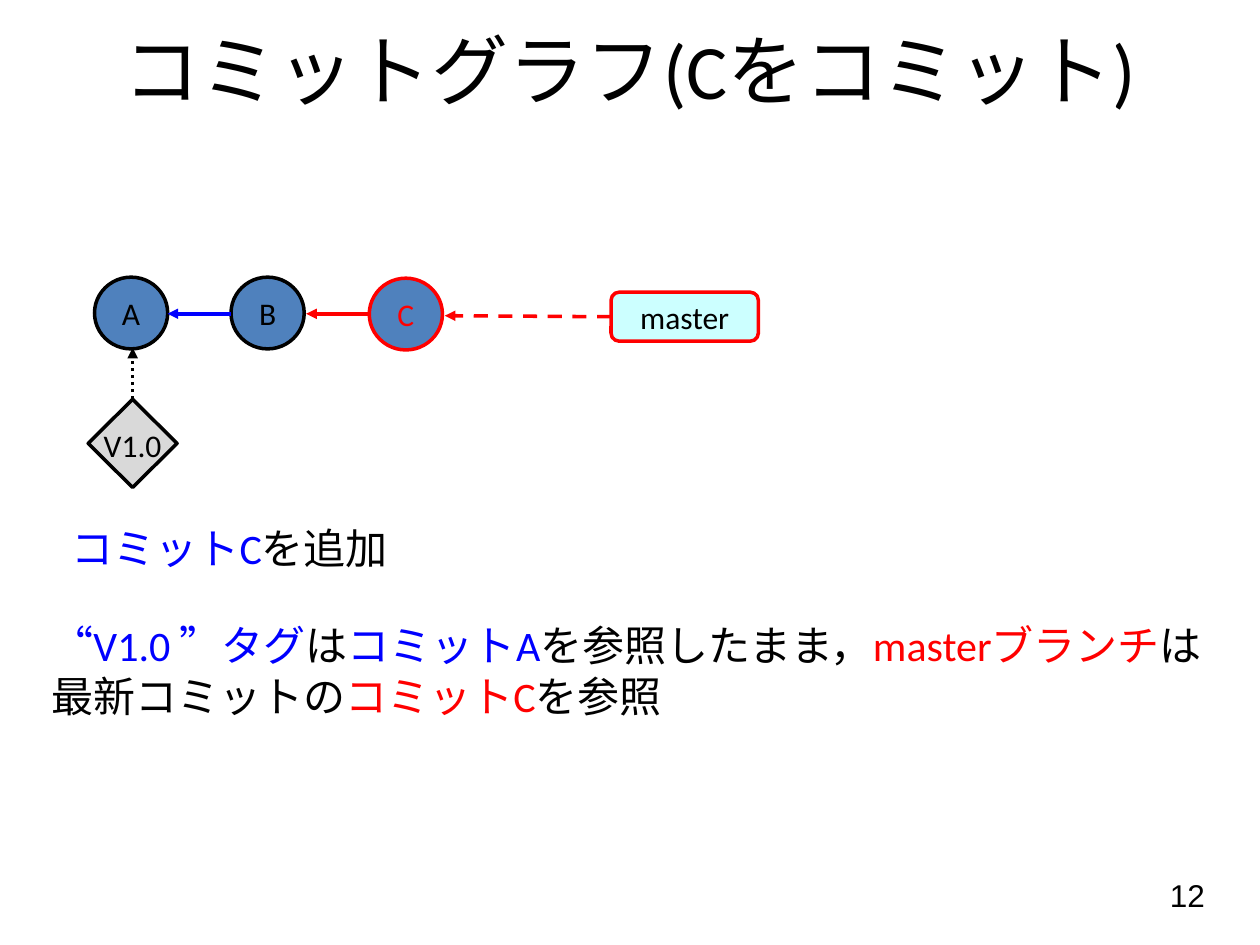
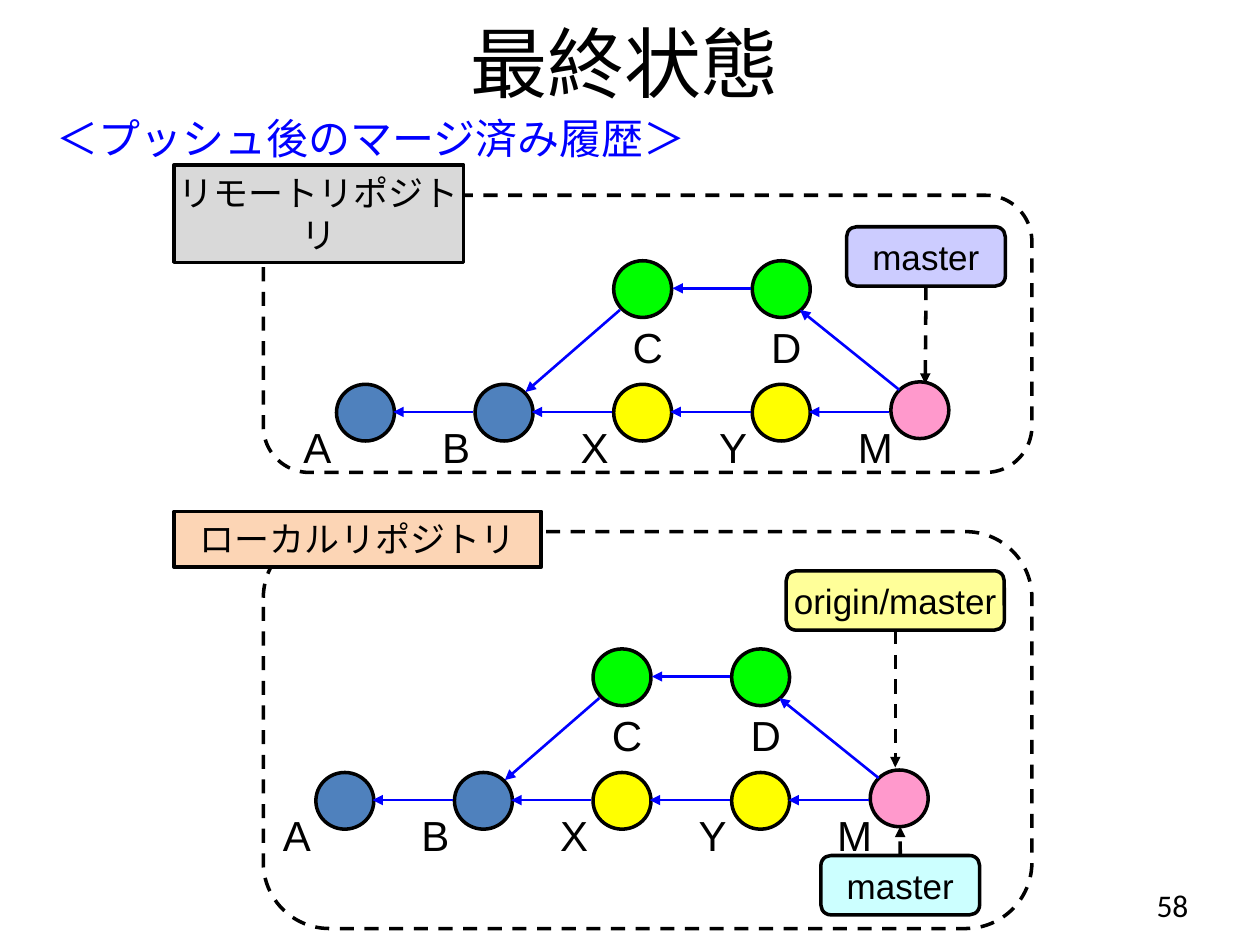
import pptx
import pptx.dml.color
import pptx.enum.dml
import pptx.enum.shapes
import pptx.enum.text
import pptx.oxml
import pptx.oxml.ns
import pptx.util

Pt = pptx.util.Pt
Kind = pptx.enum.shapes.MSO_SHAPE
Dash = pptx.enum.dml.MSO_LINE
Align = pptx.enum.text.PP_ALIGN
Anchor = pptx.enum.text.MSO_ANCHOR

BLACK, BLUE, RED = "000000", "0000FF", "FF0000"
STEEL, GREEN, YELLOW, PINK = "4F81BD", "00FF00", "FFFF00", "FF99CC"
GRAY, PEACH, CYAN, LILAC, CREAM = "D9D9D9", "FCD5B5", "CCFFFF", "CCCCFF", "FFFF99"

STEP = 79.2   # distance between neighbouring commits
RISE = 70.6   # height of the branch above the main row
TOP, LEFT, BOTTOM = 0, 1, 2

# name: (column, row, colour)
NODES = {
    "A": (0, 0, STEEL), "B": (1, 0, STEEL),
    "X": (2, 0, YELLOW), "Y": (3, 0, YELLOW),
    "C": (2, 1, GREEN), "D": (3, 1, GREEN),
    "M": (4, 0, PINK),
}


def tint(code):
    return pptx.dml.color.RGBColor.from_string(code)


def apply(item, values):
    for name, value in values.items():
        setattr(item, name, value)


def write(shape, paras, size, font="Calibri", align=Align.LEFT,
          anchor=Anchor.TOP, inset=(7.2, 3.6), wrap=True):
    """Fill a shape with paragraphs, each a list of (text, colour) runs."""
    frame = shape.text_frame
    side, edge = map(Pt, inset)
    apply(frame, {"margin_left": side, "margin_right": side,
                  "margin_top": edge, "margin_bottom": edge,
                  "vertical_anchor": anchor, "word_wrap": wrap})
    for i, runs in enumerate(paras):
        para = frame.add_paragraph() if i else frame.paragraphs[0]
        para.alignment = align
        for text, color in runs:
            run = para.add_run()
            run.text = text
            apply(run.font, {"size": Pt(size), "name": font})
            run.font.color.rgb = tint(color)


def text(slide, box, paras, size, **style):
    shape = slide.shapes.add_textbox(*map(Pt, box))
    if isinstance(paras, str):
        paras = [[(paras, BLACK)]]
    write(shape, paras, size, **style)
    return shape


def stroke(line, color, width, dash=None):
    line.color.rgb = tint(color)
    apply(line, {"width": Pt(width), "dash_style": dash})


def block(slide, kind, box, fill=None, edge=BLACK, dash=None):
    shape = slide.shapes.add_shape(kind, *map(Pt, box))
    shape.shadow.inherit = False
    if fill:
        shape.fill.solid()
        shape.fill.fore_color.rgb = tint(fill)
    else:
        shape.fill.background()
    stroke(shape.line, edge, 2, dash)
    return shape


def arrow(slide, start, end, color=BLUE, width=1.5, dash=None):
    """Draw a straight line with its arrowhead at the end point."""
    line = slide.shapes.add_connector(
        pptx.enum.shapes.MSO_CONNECTOR.STRAIGHT, *map(Pt, start + end))
    stroke(line.line, color, width, dash)
    head = pptx.oxml.parse_xml(
        f'<a:tailEnd {pptx.oxml.ns.nsdecls("a")} type="triangle"/>')
    line.line._get_or_add_ln().append(head)
    props = line._element.spPr
    props.append(props.makeelement(pptx.oxml.ns.qn("a:effectLst"), {}))
    return line


def point(slide, shape, site, end, color=BLACK, dash=Dash.DASH):
    """Draw a reference arrow from a side of a shape to a commit."""
    line = arrow(slide, end, end, color, 2, dash)
    line.begin_connect(shape, site)


def title(slide, box, words):
    text(slide, box, words, 44, align=Align.CENTER, anchor=Anchor.MIDDLE)


def commit(slide, name, left, top, color=BLACK):
    node = block(slide, Kind.OVAL, (left, top, 41.8, 41), STEEL, color)
    write(node, [[(name, color)]], 18, align=Align.CENTER, wrap=False)


def branch(slide, box, name, fill, edge=BLACK, size=20, font="Arial"):
    shape = block(slide, Kind.ROUNDED_RECTANGLE, box, fill, edge)
    write(shape, [[(name, BLACK)]], size, font=font, align=Align.CENTER,
          anchor=Anchor.MIDDLE, wrap=False)
    return shape


def frame(slide, top, height):
    block(slide, Kind.ROUNDED_RECTANGLE, (150.5, top, 439.2, height),
          dash=Dash.DASH)


def tag(slide, box, name, fill):
    shape = block(slide, Kind.RECTANGLE, box, fill)
    write(shape, [[(name, BLACK)]], 20, font="Arial", align=Align.CENTER,
          inset=(1.4, 3.6))


def graph(slide, left, top):
    """Draw the merged history with commit A at the given corner."""
    spots = {}
    for name, (col, row, fill) in NODES.items():
        x, y = left + col * STEP, top - row * RISE
        spots[name] = x, y
        lift = 1.4 if name == "M" else 0
        block(slide, Kind.OVAL, (x, y - lift, 33.1, 32.4), fill)
        dx, dy = (10.8, 34.6) if row else (-18.9, 21.2)
        text(slide, (x + dx, y + dy, 23, 28.8), name, 24, font="Arial",
             inset=(0, 0))
    for older, newer in ("AB", "BX", "XY", "YM", "CD"):
        x, y = spots[older]
        gap = 33.6 if older == "C" else 32.4
        arrow(slide, (spots[newer][0] - 1, y + 15.8), (x + gap, y + 15.8))
    arrow(slide, (left + 162, top - 42.5), (left + 108, top + 4.4))
    arrow(slide, (left + 321.6, top + 3.2), (left + 264.8, top - 42.5))


def added(slide):
    """Slide that shows commit C being added."""
    text(slide, (527.8, 496.8, 167.8, 37.4), "12", 18, font="Arial",
         align=Align.RIGHT)
    title(slide, (0, -5.8, 720, 90), "コミットグラフ(Cをコミット)")
    commit(slide, "A", 54, 158.4)
    commit(slide, "B", 132, 158.4)
    commit(slide, "C", 211, 159, RED)
    arrow(slide, (132, 179.3), (95.8, 179.3), BLUE, 2)
    arrow(slide, (211, 179.3), (175, 179.3), RED, 2)
    mark = block(slide, Kind.DIAMOND, (50.4, 228.2, 50.8, 50.4), GRAY)
    text(slide, (50.4, 239.8, 50.8, 28.8), "V1.0", 18, align=Align.CENTER)
    point(slide, mark, TOP, (75.8, 198.7), dash=Dash.ROUND_DOT)
    main_box = branch(slide, (349.2, 167, 84.2, 28), "master", CYAN, RED,
                      18, "Calibri")
    point(slide, main_box, LEFT, (254.2, 180.4), RED)
    text(slide, (33.8, 295.2, 354.2, 36),
         [[("コミットC", BLUE), ("を追加", BLACK)]], 24)
    text(slide, (22.3, 350.6, 680.4, 64.8), [
        [("“V1.0 ”タグ", BLUE), ("は", BLACK), ("コミットA", BLUE),
         ("を参照したまま，", BLACK), ("masterブランチ", RED), ("は", BLACK)],
        [("最新コミットの", BLACK), ("コミットC", RED), ("を参照", BLACK)],
    ], 24)


def final(slide):
    """Slide that shows both repositories after the push."""
    text(slide, (518.4, 502.6, 167.8, 28.8), "58", 18, align=Align.RIGHT,
         anchor=Anchor.MIDDLE)
    title(slide, (28, 0, 658, 70), "最終状態")
    text(slide, (25.2, 60.5, 442, 36),
         [[("＜プッシュ後のマージ済み履歴＞", BLUE)]], 24)
    frame(slide, 111.6, 158.4)
    frame(slide, 303.8, 226.8)
    tag(slide, (99.4, 94.3, 165.6, 55.6), "リモートリポジトリ", GRAY)
    tag(slide, (99.4, 292.3, 209.9, 31.8), "ローカルリポジトリ", PEACH)
    graph(slide, 192.3, 219.6)
    graph(slide, 180.5, 441.4)
    remote = branch(slide, (483.8, 129.6, 90.7, 33.9), "master", LILAC)
    point(slide, remote, BOTTOM, (528.7, 219.4))
    origin = branch(slide, (449.3, 326.2, 124.6, 33.9), "origin/master", CREAM)
    point(slide, origin, BOTTOM, (511.6, 438.5))
    local = branch(slide, (469.1, 488.9, 90.7, 33.9), "master", CYAN)
    point(slide, local, TOP, (514.4, 472.3))


def main():
    deck = pptx.Presentation()
    apply(deck, {"slide_width": Pt(720), "slide_height": Pt(540)})
    for build in (added, final):
        build(deck.slides.add_slide(deck.slide_layouts[6]))
    deck.save("out.pptx")


if __name__ == "__main__":
    main()
